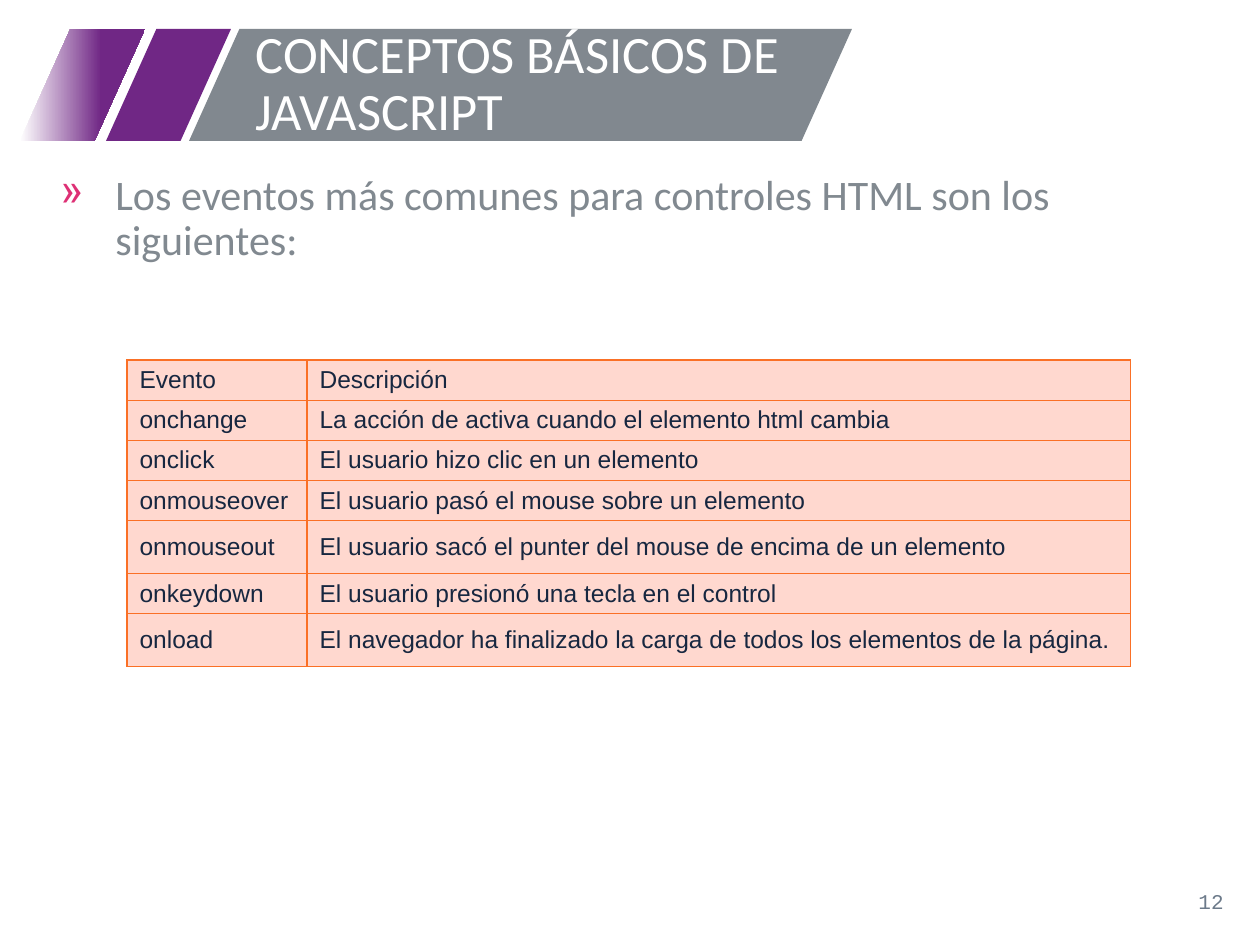
"""Builds a slide with a slanted title banner and a table of common HTML events."""
from lxml import etree
from pptx import Presentation, util as u
from pptx.dml.color import RGBColor
from pptx.enum import shapes, text
from pptx.oxml import ns

HEX = {"purple": "702785", "gray": "81888F", "body": "818990", "pink": "DE3075",
       "page": "6C7A8A", "ink": "172740", "rule": "FA7026", "cell": "FFD8CF",
       "white": "FFFFFF"}
TITLE = "CONCEPTOS BÁSICOS DE JAVASCRIPT"
LEAD = "Los eventos más comunes para controles HTML son los siguientes:"
PAGE = "12"
ROWS = [
    ("Evento", "Descripción", 40),
    ("onchange", "La acción de activa cuando el elemento html cambia", 40),
    ("onclick", "El usuario hizo clic en un elemento", 40),
    ("onmouseover", "El usuario pasó el mouse sobre un elemento", 40),
    ("onmouseout", "El usuario sacó el punter del mouse de encima de un elemento", 53),
    ("onkeydown", "El usuario presionó una tecla en el control", 40),
    ("onload", "El navegador ha finalizado la carga de todos los elementos de la página.", 53),
]
COLS = (180, 824)
BANDS = [(106, 125, "purple"), (20, 125, "fade"), (189, 663, "gray")]
TOP, HIGH = 29, 112


def px(n):
    return u.Emu(round(n * 914400 / 126))


def color(name):
    return RGBColor.from_string(HEX[name])


def paint(fill, name):
    fill.solid()
    fill.fore_color.rgb = color(name)


def write(para, words, size, face, name):
    run = para.add_run()
    run.text = words
    run.font.size = u.Pt(size)
    run.font.name = face
    run.font.color.rgb = color(name)


def tint(parent, name):
    fill = etree.SubElement(parent, ns.qn("a:solidFill"))
    etree.SubElement(fill, ns.qn("a:srgbClr"), val=HEX[name])


def band(slide, left, width, name):
    shape = slide.shapes.add_shape(shapes.MSO_SHAPE.PARALLELOGRAM,
                                   *map(px, (left, TOP, width, HIGH)))
    shape.adjustments[0] = 0.45
    shape.shadow.inherit = False
    shape.line.fill.background()
    if name != "fade":
        paint(shape.fill, name)
        return
    shape.fill.gradient()
    shape.fill.gradient_angle = 0
    for stop, hue, place in zip(shape.fill.gradient_stops, ("white", "purple"), (0, 0.65)):
        stop.color.rgb = color(hue)
        stop.position = place


def box(slide, *area):
    frame = slide.shapes.add_textbox(*map(px, area)).text_frame
    frame.word_wrap = True
    return frame


def lead(slide):
    para = box(slide, 40, 168, 1180, 708).paragraphs[0]
    props = para._p.get_or_add_pPr()
    props.set("marL", str(px(63)))
    props.set("indent", str(px(-55)))
    tint(etree.SubElement(props, ns.qn("a:buClr")), "pink")
    mark = props.find(ns.qn("a:buClr"))
    fill = mark[0]
    mark.append(fill[0])
    mark.remove(fill)
    etree.SubElement(props, ns.qn("a:buChar"), char="»")
    para.line_spacing = 0.9
    write(para, LEAD, 24, "Calibri", "body")


def page(slide):
    frame = box(slide, 953, 876, 283, 50)
    frame.vertical_anchor = text.MSO_ANCHOR.MIDDLE
    para = frame.paragraphs[0]
    para.alignment = text.PP_ALIGN.RIGHT
    write(para, PAGE, 12, "Courier New", "page")


def title(slide):
    shape = slide.shapes.title
    shape.left, shape.top, shape.width, shape.height = map(px, (243, TOP, 591, HIGH))
    slide.shapes._spTree.append(shape._element)
    frame = shape.text_frame
    frame.word_wrap = True
    frame.auto_size = text.MSO_AUTO_SIZE.NONE
    frame.vertical_anchor = text.MSO_ANCHOR.MIDDLE
    para = frame.paragraphs[0]
    para.alignment = text.PP_ALIGN.LEFT
    para.line_spacing = 0.9
    write(para, TITLE, 30, "Calibri", "white")


def border(cell):
    props = cell._tc.get_or_add_tcPr()
    for side in ("lnL", "lnR", "lnT", "lnB"):
        line = etree.SubElement(props, ns.qn("a:" + side), w=str(u.Pt(0.75)))
        tint(line, "rule")


def grid(slide):
    high = sum(row[-1] for row in ROWS)
    table = slide.shapes.add_table(len(ROWS), len(COLS),
                                   *map(px, (127, 360, sum(COLS), high))).table
    table.first_row = table.horz_banding = False
    for col, wide in zip(table.columns, COLS):
        col.width = px(wide)
    for row, (*words, tall) in zip(table.rows, ROWS):
        row.height = px(tall)
        for cell, word in zip(row.cells, words):
            border(cell)
            paint(cell.fill, "cell")
            cell.vertical_anchor = text.MSO_ANCHOR.MIDDLE
            write(cell.text_frame.paragraphs[0], word, 14, "Arial", "ink")


def main():
    deck = Presentation()
    deck.slide_width, deck.slide_height = px(1260), px(945)
    slide = deck.slides.add_slide(deck.slide_layouts[5])
    for item in BANDS:
        band(slide, *item)
    page(slide)
    lead(slide)
    title(slide)
    grid(slide)
    deck.save("out.pptx")


if __name__ == "__main__":
    main()
